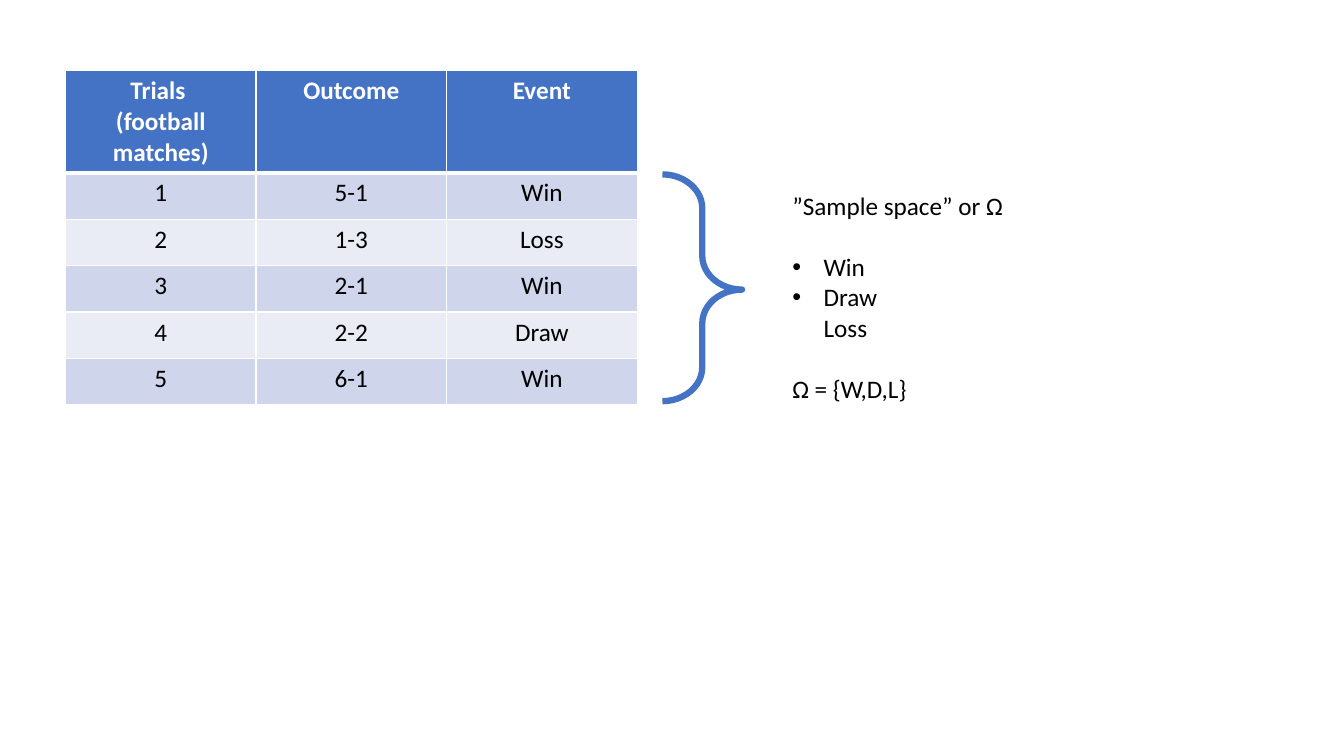
from pptx import Presentation
from pptx.util import Inches, Pt
from pptx.dml.color import RGBColor
from pptx.enum.shapes import MSO_SHAPE as Shape
from pptx.enum.text import PP_ALIGN as Align, MSO_AUTO_SIZE as Auto
from lxml.etree import SubElement
from pptx.oxml.ns import qn

ROWS = [
    ("Trials \n(football matches)", "Outcome", "Event"),
    ("1", "5-1", "Win"),
    ("2", "1-3", "Loss"),
    ("3", "2-1", "Win"),
    ("4", "2-2", "Draw"),
    ("5", "6-1", "Win"),
]
NOTES = [
    ("”Sample space” or Ω", False, 0),
    ("Win", True, 1),
    ("Draw\vLoss", True, 0),
    ("Ω = {W,D,L}", False, 1),
]
BLUE, WHITE, BLACK = "4472C4", "FFFFFF", "000000"
BANDS = ("E9EBF5", "CFD5EA")
FONT, SIZE, LINE = "Calibri", 18, 22
LEFT, TOP, COL, HEAD, ROW = 0.65, 0.7, 1.89, 0.77, 0.46
TALL, SPAN = 3.28, 2.25


def color(code):
    return RGBColor.from_string(code)


def style(para, code, bold=False):
    for run in para.runs:
        font = run.font
        font.name, font.size, font.bold = FONT, Pt(SIZE), bold
        font.color.rgb = color(code)


def border(cell, widths):
    props = cell._tc.get_or_add_tcPr()
    for spot, (side, width) in enumerate(widths.items()):
        line = props.makeelement(qn("a:" + side), {"w": str(Pt(width))})
        fill = SubElement(line, qn("a:solidFill"))
        SubElement(fill, qn("a:srgbClr"), val=WHITE)
        props.insert(spot, line)


def bullet(para):
    props = para._p.get_or_add_pPr()
    props.set("marL", str(Inches(0.31)))
    props.set("indent", str(Inches(-0.31)))
    SubElement(props, qn("a:buFont"), typeface="Arial")
    SubElement(props, qn("a:buChar"), char="•")


def add_grid(slide):
    count = len(ROWS[0])
    frame = slide.shapes.add_table(len(ROWS), count, Inches(LEFT), Inches(TOP),
                                   Inches(COL * count), Inches(TALL))
    table = frame.table
    for col in table.columns:
        col.width = Inches(COL)
    for r, texts in enumerate(ROWS):
        top = r == 0
        table.rows[r].height = Inches(HEAD if top else ROW)
        for c, text in enumerate(texts):
            cell = table.cell(r, c)
            cell.text_frame.text = text
            cell.fill.solid()
            cell.fill.fore_color.rgb = color(BLUE if top else BANDS[r % 2])
            border(cell, {"lnL": 1, "lnR": 1, "lnT": 3 if r == 1 else 1,
                          "lnB": 3 if top else 1})
            for para in cell.text_frame.paragraphs:
                para.alignment = Align.CENTER
                style(para, WHITE if top else BLACK, top)
    frame.height = Inches(TALL)


def add_brace(slide):
    brace = slide.shapes.add_shape(Shape.RIGHT_BRACE, Inches(6.57),
                                   Inches(TOP + TALL - SPAN), Inches(0.79), Inches(SPAN))
    brace.shadow.inherit = False
    brace.fill.background()
    brace.line.color.rgb = color(BLUE)
    brace.line.width = Pt(4.5)
    brace.adjustments[0] = 0.426
    brace.adjustments[1] = 0.508


def add_notes(slide):
    box = slide.shapes.add_textbox(Inches(7.76), Inches(1.84), Inches(2.32), Inches(2.22))
    frame = box.text_frame
    frame.word_wrap = False
    frame.auto_size = Auto.SHAPE_TO_FIT_TEXT
    for i, (text, dot, gap) in enumerate(NOTES):
        para = frame.add_paragraph() if i else frame.paragraphs[0]
        para.text = text
        para.space_before = Pt(LINE * gap)
        style(para, BLACK)
        if dot:
            bullet(para)


def main():
    deck = Presentation()
    deck.slide_width, deck.slide_height = Inches(13.33), Inches(7.5)
    slide = deck.slides.add_slide(deck.slide_layouts[6])
    add_grid(slide)
    add_brace(slide)
    add_notes(slide)
    deck.save("out.pptx")


if __name__ == "__main__":
    main()
